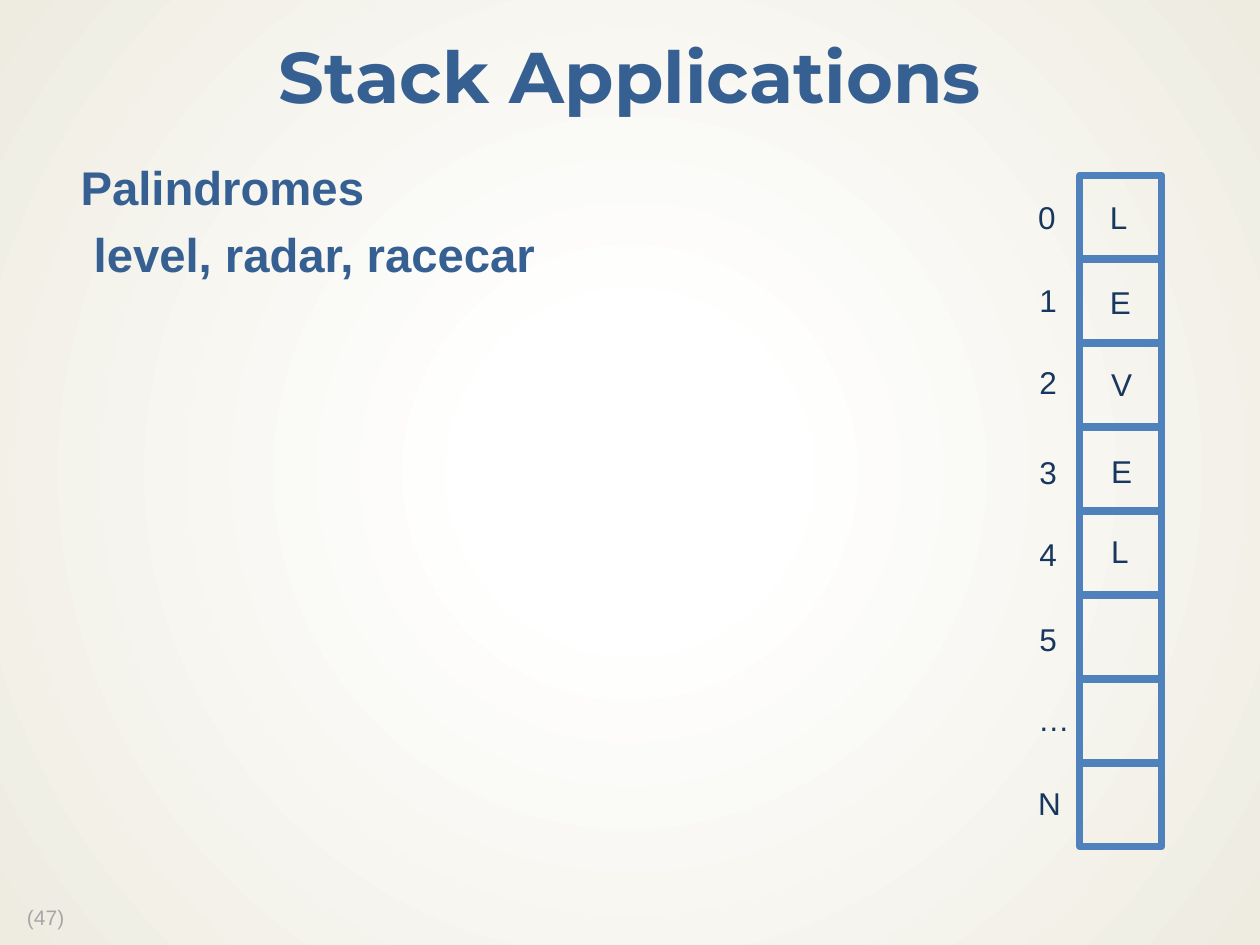
from lxml import etree
from pptx import Presentation
from pptx.dml.color import RGBColor
from pptx.enum.shapes import MSO_SHAPE
from pptx.enum.text import MSO_ANCHOR, MSO_AUTO_SIZE, PP_ALIGN
from pptx.oxml.ns import qn
from pptx.util import Inches, Pt

RECTANGLE = MSO_SHAPE.RECTANGLE
MIDDLE = MSO_ANCHOR.MIDDLE
NO_AUTOFIT = MSO_AUTO_SIZE.NONE
LEFT, CENTER = PP_ALIGN.LEFT, PP_ALIGN.CENTER
TITLE_ONLY = 5


def color(value):
    return RGBColor.from_string(value)


def set_formats(target, formats):
    for name, value in formats.items():
        setattr(target, name, value)


class StackSlide:
    heading_color = "376092"
    label_color = "17375E"
    cell_color = "4F81BD"
    number_color = "A6A6A6"

    def __init__(self, deck):
        self.slide = deck.slides.add_slide(deck.slide_layouts[TITLE_ONLY])

    def background(self, center, edge):
        fill = self.slide.background.fill
        fill.gradient()
        for stop, (position, value) in zip(fill.gradient_stops, ((0.18, center), (1, edge))):
            stop.position = position
            stop.color.rgb = color(value)
        linear = next(self.slide.element.iter(qn("a:lin")))
        gradient = linear.getparent()
        gradient.remove(linear)
        circle = etree.SubElement(gradient, qn("a:path"), path="circle")
        etree.SubElement(circle, qn("a:fillToRect"), l="50000", t="50000", r="50000", b="50000")

    def set_text(self, shape, lines, value, font, paragraph=None, frame=None):
        text_frame = shape.text_frame
        set_formats(text_frame, {"auto_size": NO_AUTOFIT, **(frame or {})})
        text_frame.text = "\n".join(lines)
        for line in text_frame.paragraphs:
            set_formats(line, {"alignment": LEFT, **(paragraph or {})})
            set_formats(line.runs[0].font, {"name": "Arial", **font})
            line.runs[0].font.color.rgb = color(value)

    def title(self, text):
        title = self.slide.shapes.title
        set_formats(title, {"left": 0, "top": Inches(0.17),
                            "width": Inches(10), "height": Inches(0.94)})
        self.set_text(title, [text], self.heading_color,
                      {"name": "Montserrat", "size": Pt(41), "bold": True},
                      {"alignment": CENTER, "line_spacing": 0.9}, {"vertical_anchor": MIDDLE})

    def body(self, lines):
        body = self.slide.shapes.add_textbox(Inches(0.38), Inches(1.25), Inches(9.25), Inches(5.65))
        self.set_text(body, lines, self.heading_color, {"size": Pt(27), "bold": True},
                      {"line_spacing": 0.9, "space_before": Pt(9)},
                      {"word_wrap": True, "margin_left": Inches(0.26), "margin_right": Inches(0.12),
                       "margin_top": Inches(0.06), "margin_bottom": Inches(0.06)})

    def cell(self, left, top):
        cell = self.slide.shapes.add_shape(RECTANGLE, left, top, Inches(0.65), Inches(0.66))
        cell.shadow.inherit = False
        cell.fill.background()
        cell.line.width = Pt(4)
        cell.line.color.rgb = color(self.cell_color)

    def label(self, text, left, top, width):
        label = self.slide.shapes.add_textbox(Inches(left), Inches(top), Inches(width), Inches(0.4))
        self.set_text(label, [text], self.label_color, {"size": Pt(18)}, frame={"word_wrap": False})

    def page_number(self, text):
        number = self.slide.shapes.add_textbox(Inches(0.07), Inches(7.15), Inches(0.56), Inches(0.28))
        self.set_text(number, [text], self.number_color, {"size": Pt(12)},
                      {"line_spacing": 0.9}, {"word_wrap": False})


def main():
    deck = Presentation()
    deck.slide_width, deck.slide_height = Inches(10), Inches(7.5)
    page = StackSlide(deck)
    page.background("FFFFFF", "EEECE1")
    page.page_number(" (47)")
    page.title("Stack Applications")
    page.body(["Palindromes", " level, radar, racecar"])

    indexes = (
        ("0", 8.14, 1.52, 0.34), ("1", 8.15, 2.18, 0.34),
        ("2", 8.15, 2.83, 0.34), ("3", 8.15, 3.55, 0.34),
        ("4", 8.15, 4.2, 0.34), ("5", 8.15, 4.87, 0.34),
        ("…", 8.14, 5.51, 0.45), ("N", 8.14, 6.17, 0.38),
    )
    letters = (
        ("L", 8.71, 1.52, 0.33), ("E", 8.71, 2.2, 0.37), ("V", 8.72, 2.85, 0.38),
        ("E", 8.72, 3.54, 0.37), ("L", 8.72, 4.17, 0.33),
    )
    pitch = Inches(4.67) / (len(indexes) - 1)
    for row in range(len(indexes)):
        page.cell(Inches(8.57), Inches(1.39) + round(row * pitch))
    for entry in indexes + letters:
        page.label(*entry)

    deck.save("out.pptx")


if __name__ == "__main__":
    main()
